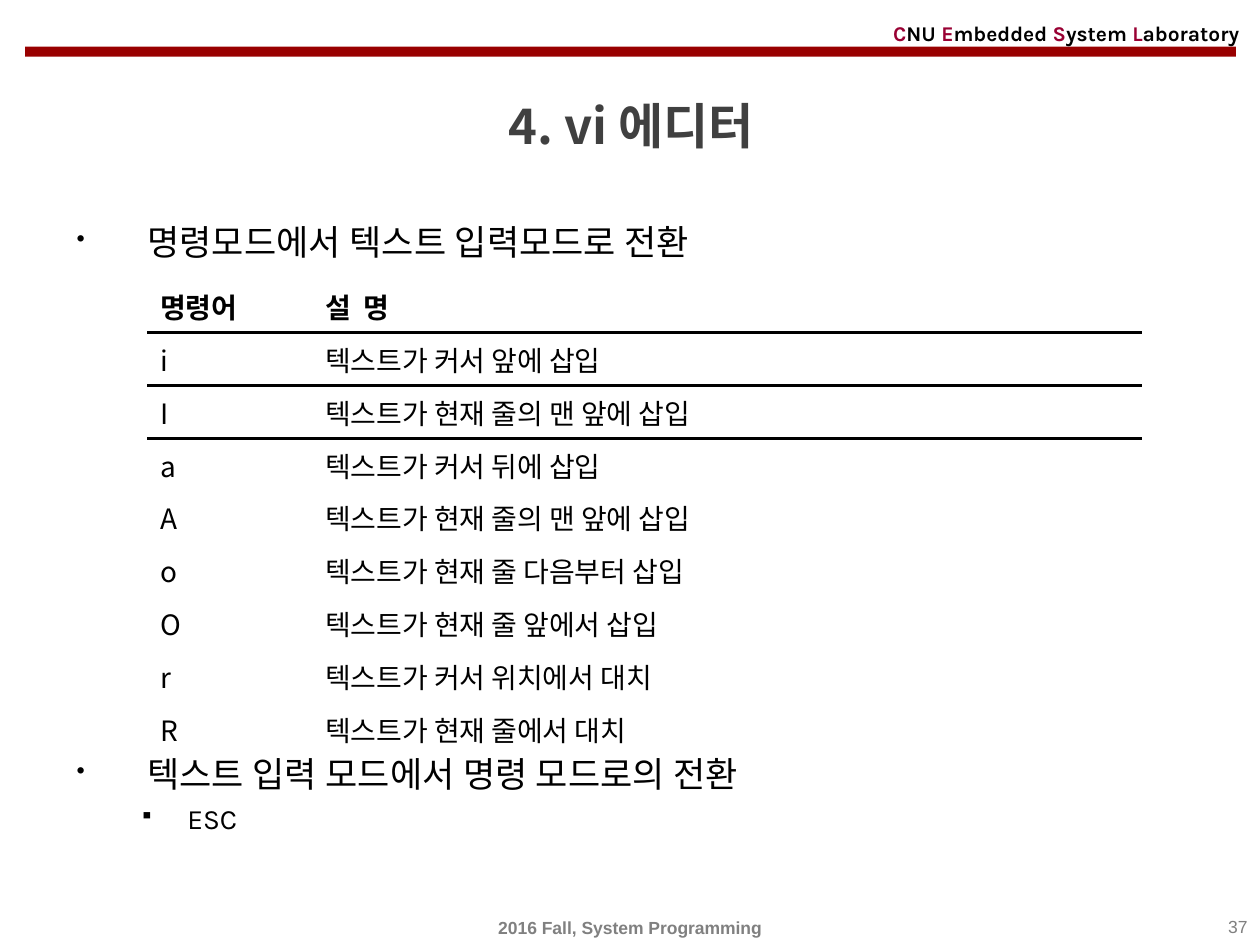
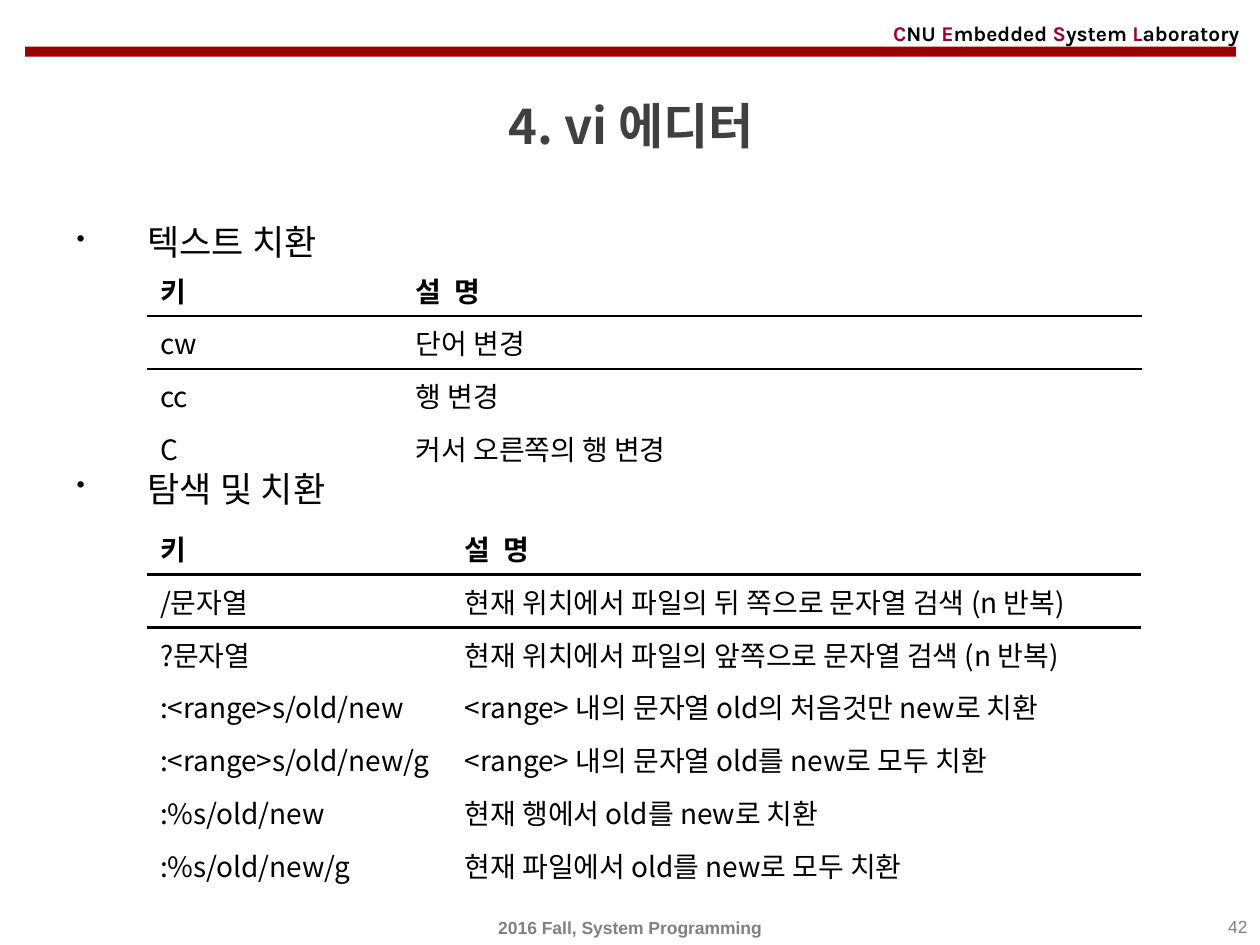
from lxml import etree
from pptx import Presentation
from pptx import util as u
from pptx.dml.color import RGBColor
from pptx.enum import shapes, text
from pptx.oxml import ns

BAND, INITIAL, BLACK, TITLE, FOOTER = "990000", "990033", "000000", "404040", "808080"
HANGUL, LATIN, PLAIN = "Noto Sans CJK KR", "Karla", "Arial"
NO_GRID_STYLE = "{2D5ABB26-0587-4C30-8999-92F81FD0307C}"
ROW_HEIGHT = 0.42
LABORATORY = [("C", INITIAL), ("NU ", BLACK), ("E", INITIAL), ("mbedded ", BLACK),
              ("S", INITIAL), ("ystem ", BLACK), ("L", INITIAL), ("aboratory", BLACK)]

# Bullets are (level, words, space before in points)
# Tables are (top, column widths, rows with a line below, rows of words)
pages = [
    {
        "number": "37",
        "bullets": [(0, "명령모드에서 텍스트 입력모드로 전환", 0),
                    (0, "텍스트 입력 모드에서 명령 모드로의 전환", 280),
                    (1, "ESC", 4)],
        "tables": [(2.22, (1.31, 6.58), (0, 1), [
            ("명령어", "설  명"),
            ("i", "텍스트가 커서 앞에 삽입"),
            ("I", "텍스트가 현재 줄의 맨 앞에 삽입"),
            ("a", "텍스트가 커서 뒤에 삽입"),
            ("A", "텍스트가 현재 줄의 맨 앞에 삽입"),
            ("o", "텍스트가 현재 줄 다음부터 삽입"),
            ("O", "텍스트가 현재 줄 앞에서 삽입"),
            ("r", "텍스트가 커서 위치에서 대치"),
            ("R", "텍스트가 현재 줄에서 대치"),
        ])],
    },
    {
        "number": "42",
        "bullets": [(0, "텍스트 치환", 0), (0, "탐색 및 치환", 117)],
        "tables": [
            (2.09, (2.03, 5.86), (0,), [
                ("키", "설  명"),
                ("cw", "단어 변경"),
                ("cc", "행 변경"),
                ("C", "커서 오른쪽의 행 변경"),
            ]),
            (4.14, (2.42, 5.47), (0,), [
                ("키", "설  명"),
                ("/문자열", "현재 위치에서 파일의 뒤 쪽으로 문자열 검색 (n 반복)"),
                ("?문자열", "현재 위치에서 파일의 앞쪽으로 문자열 검색 (n 반복)"),
                (":<range>s/old/new", "<range> 내의 문자열 old의 처음것만 new로 치환"),
                (":<range>s/old/new/g", "<range> 내의 문자열 old를 new로 모두 치환"),
                (":%s/old/new", "현재 행에서 old를 new로 치환"),
                (":%s/old/new/g", "현재 파일에서 old를 new로 모두 치환"),
            ]),
        ],
    },
]


def add_run(paragraph, words, size, font, color, bold=False):
    run = paragraph.add_run()
    run.text = words
    run.font.size = u.Pt(size)
    run.font.name = font
    run.font.bold = bold
    run.font.color.rgb = RGBColor.from_string(color)
    east_asian = etree.SubElement(run.font._element, ns.qn("a:ea"))
    east_asian.set("typeface", font)


def add_box(slide, left, top, width, height, anchor=text.MSO_ANCHOR.MIDDLE, align=text.PP_ALIGN.LEFT):
    box = slide.shapes.add_textbox(u.Inches(left), u.Inches(top), u.Inches(width), u.Inches(height))
    box.text_frame.word_wrap = True
    box.text_frame.vertical_anchor = anchor
    box.text_frame.paragraphs[0].alignment = align
    return box.text_frame


presentation = Presentation()
presentation.slide_width = u.Inches(10)
presentation.slide_height = u.Inches(7.5)

for page in pages:
    slide = presentation.slides.add_slide(presentation.slide_layouts[6])

    # Band and laboratory name
    band = slide.shapes.add_shape(shapes.MSO_SHAPE.RECTANGLE, u.Inches(0.2), u.Inches(0.37),
                                  u.Inches(9.61), u.Inches(0.08))
    band.shadow.inherit = False
    band.fill.solid()
    band.fill.fore_color.rgb = RGBColor.from_string(BAND)
    band.line.fill.background()
    laboratory = add_box(slide, 6.99, 0.12, 3.03, 0.28)
    for words, color in LABORATORY:
        add_run(laboratory.paragraphs[0], words, 12, LATIN, color, bold=True)

    # Title
    title = add_box(slide, 0.21, 0.6, 9.6, 0.79, align=text.PP_ALIGN.CENTER)
    add_run(title.paragraphs[0], "4. vi 에디터", 28, HANGUL, TITLE, bold=True)

    # Bullets
    body = add_box(slide, 0.51, 1.7, 9.06, 5.28, anchor=text.MSO_ANCHOR.TOP)
    for index, (level, words, space) in enumerate(page["bullets"]):
        paragraph = body.add_paragraph() if index else body.paragraphs[0]
        paragraph.level = level
        paragraph.space_before = u.Pt(space)
        margin, hanging, size, mark = [(0.56, 0.56, 20, "•"), (0.88, 0.38, 16, "▪")][level]
        properties = paragraph._p.get_or_add_pPr()
        properties.set("marL", str(u.Inches(margin)))
        properties.set("indent", str(-u.Inches(hanging)))
        etree.SubElement(properties, ns.qn("a:buSzPct")).set("val", "70000")
        etree.SubElement(properties, ns.qn("a:buChar")).set("char", mark)
        add_run(paragraph, words, size, LATIN, BLACK)

    # Command tables
    for top, widths, ruled_rows, rows in page["tables"]:
        frame = slide.shapes.add_table(len(rows), len(widths), u.Inches(1.17), u.Inches(top),
                                       u.Inches(sum(widths)), u.Inches(ROW_HEIGHT * len(rows)))
        table = frame.table
        table.first_row = table.horz_banding = False
        table._tbl.tblPr.find(ns.qn("a:tableStyleId")).text = NO_GRID_STYLE
        for column, width in zip(table.columns, widths):
            column.width = u.Inches(width)
        for row_index, row in enumerate(rows):
            table.rows[row_index].height = u.Inches(ROW_HEIGHT)
            for column_index, words in enumerate(row):
                cell = table.cell(row_index, column_index)
                cell.fill.background()
                add_run(cell.text_frame.paragraphs[0], words, 16, HANGUL, BLACK, bold=row_index == 0)
                for side, ruled_row in (("a:lnB", row_index), ("a:lnT", row_index - 1)):
                    if ruled_row in ruled_rows:
                        line = etree.Element(ns.qn(side), w=str(u.Pt(1.5)))
                        fill = etree.SubElement(line, ns.qn("a:solidFill"))
                        etree.SubElement(fill, ns.qn("a:srgbClr")).set("val", BLACK)
                        cell._tc.get_or_add_tcPr().insert(0, line)

    # Footer and page number
    footer = add_box(slide, 0, 7.22, 10, 0.28, align=text.PP_ALIGN.CENTER)
    add_run(footer.paragraphs[0], "2016 Fall, System Programming", 10, PLAIN, FOOTER, bold=True)
    number = add_box(slide, 7.67, 7.22, 2.33, 0.28, text.MSO_ANCHOR.TOP, text.PP_ALIGN.RIGHT)
    add_run(number.paragraphs[0], page["number"], 10, PLAIN, FOOTER)

presentation.save("out.pptx")
